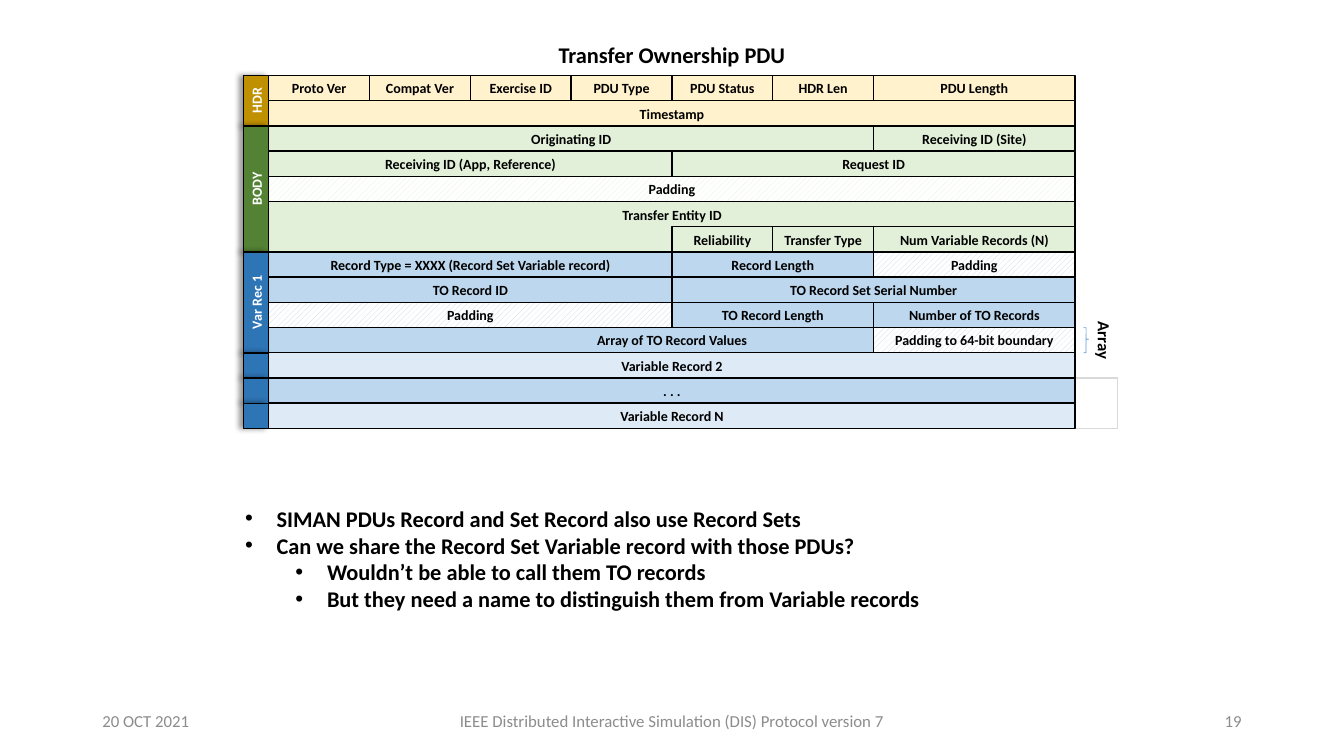
from lxml import etree
from pptx import Presentation
from pptx.dml.color import RGBColor
from pptx.enum.dml import MSO_PATTERN
from pptx.enum.shapes import MSO_SHAPE as Preset
from pptx.enum.text import MSO_ANCHOR as Anchor, MSO_AUTO_SIZE as AutoSize, PP_ALIGN as Align
from pptx.oxml.ns import qn
from pptx.util import Pt

GRID_LEFT, GRID_TOP = 192, 54
BYTE_WIDTH, ROW_HEIGHT = 72, 18

YELLOW, GREEN, BLUE, PALE_BLUE = "FFF2CC", "E2F0D9", "BDD7EE", "DEEBF7"
GOLD, DARK_GREEN, DARK_BLUE = "BF9000", "548235", "2E75B6"
BLACK, WHITE, GREY = "000000", "FFFFFF", "8C8C8C"

FIELD_ROWS = [
    [(0, 1, "Proto Ver", YELLOW), (1, 1, "Compat Ver", YELLOW), (2, 1, "Exercise ID", YELLOW),
     (3, 1, "PDU Type", YELLOW), (4, 1, "PDU Status", YELLOW), (5, 1, "HDR Len", YELLOW),
     (6, 2, "PDU Length", YELLOW)],
    [(0, 8, "Timestamp", YELLOW)],
    [(0, 6, "Originating ID", GREEN), (6, 2, "Receiving ID (Site)", GREEN)],
    [(0, 4, "Receiving ID (App, Reference)", GREEN), (4, 4, "Request ID", GREEN)],
    [(0, 8, "Padding", GREEN)],
    [(0, 8, "Transfer Entity ID", GREEN)],
    [(4, 1, "Reliability", GREEN), (5, 1, "Transfer Type", GREEN),
     (6, 2, "Num Variable Records (N)", GREEN)],
    [(0, 4, "Record Type = XXXX (Record Set Variable record)", BLUE),
     (4, 2, "Record Length", BLUE), (6, 2, "Padding", BLUE)],
    [(0, 4, "TO Record ID", BLUE), (4, 4, "TO Record Set Serial Number", BLUE)],
    [(0, 4, "Padding", BLUE), (4, 2, "TO Record Length", BLUE),
     (6, 2, "Number of TO Records", BLUE)],
    [(0, 8, "Array of TO Record Values", BLUE), (6, 2, "Padding to 64-bit boundary", BLUE)],
    [(0, 8, "Variable Record 2", PALE_BLUE)],
    [(0, 8, ". . .", BLUE)],
    [(0, 8, "Variable Record N", PALE_BLUE)],
]

SECTIONS = [
    (0, 2, "HDR", GOLD), (2, 5, "BODY", DARK_GREEN), (7, 4, "Var Rec 1", DARK_BLUE),
    (11, 1, "", DARK_BLUE), (12, 1, "", DARK_BLUE), (13, 1, "", DARK_BLUE),
]

QUESTIONS = [
    (0, "SIMAN PDUs Record and Set Record also use Record Sets"),
    (0, "Can we share the Record Set Variable record with those PDUs?"),
    (1, "Wouldn’t be able to call them TO records"),
    (1, "But they need a name to distinguish them from Variable records"),
]


def rgb(value):
    """Turn a hex string into a colour."""
    return RGBColor.from_string(value)


def write_text(shape, text, size=10, color=BLACK, bold=True, align=Align.CENTER,
               anchor=Anchor.MIDDLE, level=None):
    """Write one formatted paragraph, bulleted when a level is given."""
    frame = shape.text_frame
    frame.word_wrap = True
    frame.auto_size = AutoSize.NONE
    frame.vertical_anchor = anchor
    paragraph = frame.add_paragraph() if frame.text else frame.paragraphs[0]
    paragraph.alignment = align
    if level is not None:
        add_bullet(paragraph, level)
    run = paragraph.add_run()
    run.text = text
    font = run.font
    font.name, font.size, font.bold = "Calibri", Pt(size), bold
    font.color.rgb = rgb(color)


def add_bullet(paragraph, level):
    """Give a paragraph a hanging bullet at its level."""
    paragraph.level = level
    properties = paragraph._p.get_or_add_pPr()
    properties.set("marL", str(Pt(22.5 + 36 * level)))
    properties.set("indent", str(Pt(-22.5)))
    etree.SubElement(properties, qn("a:buFont"), typeface="Arial")
    etree.SubElement(properties, qn("a:buChar"), char="•")


def add_box(slide, left, top, width, height, fill=None, line=BLACK, weight=1,
            preset=Preset.RECTANGLE):
    """Add an outlined shape without a shadow."""
    shape = slide.shapes.add_shape(preset, Pt(left), Pt(top), Pt(width), Pt(height))
    if fill:
        shape.fill.solid()
        shape.fill.fore_color.rgb = rgb(fill)
    else:
        shape.fill.background()
    shape.line.color.rgb = rgb(line)
    shape.line.width = Pt(weight)
    shape.shadow.inherit = False
    return shape


def add_label(slide, left, top, width, height, text, rotation=0, **text_format):
    """Add a text box with one paragraph."""
    label = slide.shapes.add_textbox(Pt(left), Pt(top), Pt(width), Pt(height))
    label.rotation = rotation
    write_text(label, text, **text_format)
    return label


def add_field(slide, row, column, span, text, color):
    """Add one PDU field on the byte grid, hatched when it is padding."""
    tall = text == "Transfer Entity ID"
    field = add_box(slide, GRID_LEFT + column * BYTE_WIDTH, GRID_TOP + row * ROW_HEIGHT,
                    span * BYTE_WIDTH, ROW_HEIGHT * (2 if tall else 1), color)
    if text.startswith("Padding"):
        field.fill.patterned()
        field.fill.pattern = MSO_PATTERN.WIDE_UPWARD_DIAGONAL
        field.fill.fore_color.rgb = rgb(color)
        field.fill.back_color.rgb = rgb(WHITE)
    write_text(field, text, anchor=Anchor.TOP if tall else Anchor.MIDDLE)


def add_section(slide, row, rows, text, color):
    """Add a rotated, shadowed section tag left of the grid."""
    length = rows * ROW_HEIGHT
    center_x = GRID_LEFT - ROW_HEIGHT / 2
    center_y = GRID_TOP + row * ROW_HEIGHT + length / 2
    tag = add_box(slide, center_x - length / 2, center_y - ROW_HEIGHT / 2,
                  length, ROW_HEIGHT, color)
    tag.rotation = 270
    effects = tag._element.spPr.find(qn("a:effectLst"))
    shadow = etree.SubElement(effects, qn("a:outerShdw"), blurRad=str(Pt(4)),
                              dist=str(Pt(3)), dir="10800000", rotWithShape="0")
    shade = etree.SubElement(shadow, qn("a:srgbClr"), val=BLACK)
    etree.SubElement(shade, qn("a:alpha"), val="40000")
    if text:
        write_text(tag, text, color=WHITE)


def add_title(slide, text):
    """Place and format the slide title."""
    title = slide.shapes.title
    title.left, title.top, title.width, title.height = Pt(336), Pt(30), Pt(288), Pt(18)
    write_text(title, text, size=16)


def add_array_mark(slide):
    """Add the brace and label beside the array row."""
    top = GRID_TOP + 10 * ROW_HEIGHT
    add_label(slide, 768, top, 42, ROW_HEIGHT, "Array", rotation=90, size=12)
    brace = add_box(slide, 774, top, 3.6, ROW_HEIGHT, line="5B9BD5", weight=0.5,
                    preset=Preset.RIGHT_BRACE)
    brace.adjustments[0], brace.adjustments[1] = 0.08, 0.46


def add_footer(slide):
    """Add the date, the subject and the slide number."""
    for left, width, text, align in (
        (66, 216, "20 OCT 2021", Align.LEFT),
        (318, 324, "IEEE Distributed Interactive Simulation (DIS) Protocol version 7",
         Align.CENTER),
        (678, 216, "19", Align.RIGHT),
    ):
        add_label(slide, left, 500.5, width, 28.8, text, size=12, color=GREY,
                  bold=False, align=align)


def main():
    """Build the slide and save it."""
    presentation = Presentation()
    presentation.slide_width, presentation.slide_height = Pt(960), Pt(540)
    slide = presentation.slides.add_slide(presentation.slide_layouts[5])
    add_title(slide, "Transfer Ownership PDU")
    add_box(slide, 765, 273, 36, 30, line="D9D9D9").rotation = 90
    for row, fields in enumerate(FIELD_ROWS):
        for field in fields:
            add_field(slide, row, *field)
    for section in SECTIONS:
        add_section(slide, *section)
    add_array_mark(slide)
    questions = slide.shapes.add_textbox(Pt(168), Pt(354), Pt(540), Pt(90))
    for level, text in QUESTIONS:
        write_text(questions, text, size=16, align=Align.LEFT, level=level)
    add_footer(slide)
    presentation.save("out.pptx")


if __name__ == "__main__":
    main()
